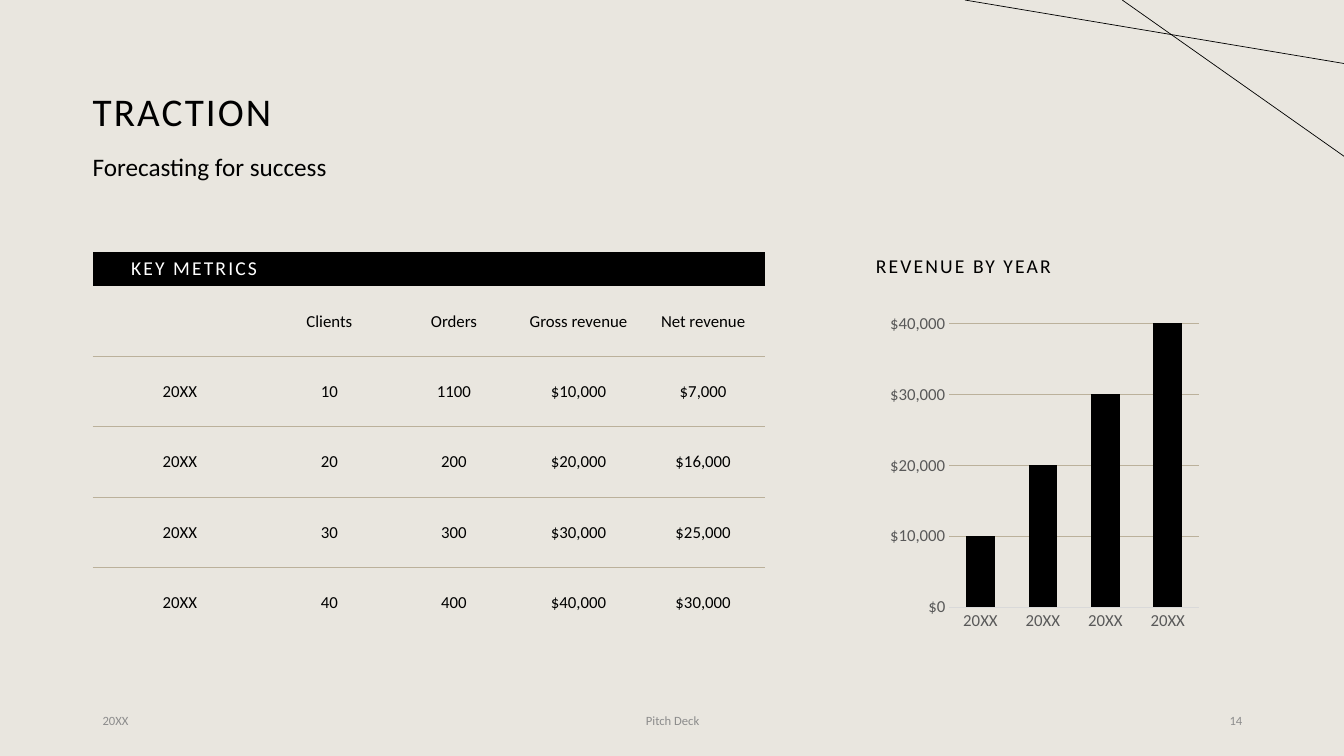
from dataclasses import dataclass

from lxml import etree
from pptx import Presentation
from pptx.chart.data import CategoryChartData
from pptx.dml.color import RGBColor
from pptx.enum.chart import XL_CHART_TYPE, XL_TICK_MARK
from pptx.enum.shapes import MSO_CONNECTOR
from pptx.enum.text import MSO_ANCHOR, PP_ALIGN
from pptx.oxml import parse_xml
from pptx.oxml.ns import nsdecls, qn
from pptx.util import Inches, Pt

LEFT, CENTER, RIGHT = PP_ALIGN.LEFT, PP_ALIGN.CENTER, PP_ALIGN.RIGHT
TOP, MIDDLE = MSO_ANCHOR.TOP, MSO_ANCHOR.MIDDLE
COLUMNS, STRAIGHT = XL_CHART_TYPE.COLUMN_CLUSTERED, MSO_CONNECTOR.STRAIGHT
NO_TICK = XL_TICK_MARK.NONE

PAPER = RGBColor(0xE9, 0xE6, 0xDF)
BLACK = RGBColor(0x00, 0x00, 0x00)
WHITE = RGBColor(0xFF, 0xFF, 0xFF)
TAUPE = RGBColor(0xBB, 0xB1, 0x9B)
GREY = RGBColor(0x8C, 0x8C, 0x8C)
LABEL = RGBColor(0x59, 0x59, 0x59)
PALE = RGBColor(0xD9, 0xD9, 0xD9)

FONT = "Calibri"
NO_STYLE = "{2D5ABB26-0587-4C30-8999-92F81FD0307C}"
WIDTH, HEIGHT = Inches(13.33), Inches(7.5)


def x(percent: float) -> int:
    """Share of the slide width."""
    return round(WIDTH * percent / 100)


def y(percent: float) -> int:
    """Share of the slide height."""
    return round(HEIGHT * percent / 100)


@dataclass
class Label:
    text: str
    left: float
    top: float
    width: float
    height: float
    size: float
    color: RGBColor = BLACK
    align: PP_ALIGN = LEFT
    anchor: MSO_ANCHOR = TOP
    spacing: float = 0
    inset: float = 0.1
    line: float = 1


@dataclass
class Stroke:
    start_x: float
    end_y: float


MARGIN, CHART_LEFT, CHART_WIDTH = 6.9, 64.44, 25.81
BODY_TOP, BAR_HEIGHT, ROW_HEIGHT = 33.33, 4.53, 9.31
YEAR_WIDTH, METRIC_WIDTH = 12.98, 9.27
FOOT_TOP, FOOT_HEIGHT = 92.67, 5.33

LABELS = [
    Label("TRACTION", MARGIN, 5.33, 86.27, 19.33, 28, anchor=MIDDLE,
          spacing=1.5, inset=0, line=0.9),
    Label("Forecasting for success", 6.15, 19.87, 55.5, 7.2, 18, line=0.9),
    Label("REVENUE BY YEAR", CHART_LEFT, BODY_TOP, CHART_WIDTH, BAR_HEIGHT, 14,
          spacing=1.5, line=0.9),
    Label("20XX", MARGIN, FOOT_TOP, 22.5, FOOT_HEIGHT, 9, GREY, LEFT, MIDDLE),
    Label("Pitch Deck", 33.16, FOOT_TOP, 33.76, FOOT_HEIGHT, 9, GREY, CENTER, MIDDLE),
    Label("14", 70.67, FOOT_TOP, 22.5, FOOT_HEIGHT, 9, GREY, RIGHT, MIDDLE),
]
STROKES = [Stroke(83.5, 20.67), Stroke(71.79, 8.4)]
METRICS = [
    ["KEY METRICS", "", "", "", ""],
    ["", "Clients", "Orders", "Gross revenue", "Net revenue"],
    ["20XX", "10", "1100", "$10,000", "$7,000"],
    ["20XX", "20", "200", "$20,000", "$16,000"],
    ["20XX", "30", "300", "$30,000", "$25,000"],
    ["20XX", "40", "400", "$40,000", "$30,000"],
]
YEARS = ["20XX"] * 4
REVENUE = [10000, 20000, 30000, 40000]


def write(tf, text: str, *, size: float, color: RGBColor = BLACK,
          align: PP_ALIGN = LEFT, spacing: float = 0, line: float = 1) -> None:
    p = tf.paragraphs[0]
    p.alignment, p.line_spacing = align, line
    if not text:
        etree.SubElement(p._p, qn("a:endParaRPr"), sz=str(int(size * 100)))
        return
    r = p.add_run()
    r.text = text
    style_font(r.font, size, color)
    if spacing:
        r._r.get_or_add_rPr().set("spc", str(int(spacing * 100)))


def style_font(font, size: float, color: RGBColor) -> None:
    font.name, font.size = FONT, Pt(size)
    font.color.rgb = color


def add_label(slide, label: Label) -> None:
    sp = slide.shapes.add_textbox(x(label.left), y(label.top),
                                  x(label.width), y(label.height))
    tf = sp.text_frame
    tf.word_wrap, tf.vertical_anchor = True, label.anchor
    tf.margin_left = Inches(label.inset)
    write(tf, label.text, size=label.size, color=label.color, align=label.align,
          spacing=label.spacing, line=label.line)


def add_rule(cell) -> None:
    cell._tc.get_or_add_tcPr().insert(0, parse_xml(
        f'<a:lnB {nsdecls("a")} w="{Pt(1)}"><a:solidFill>'
        f'<a:srgbClr val="{TAUPE}"/></a:solidFill></a:lnB>'))


def add_metrics(slide) -> None:
    widths = [YEAR_WIDTH] + [METRIC_WIDTH] * 4
    heights = [BAR_HEIGHT] + [ROW_HEIGHT] * 5
    table = slide.shapes.add_table(
        len(heights), len(widths), x(MARGIN), y(BODY_TOP),
        x(sum(widths)), y(sum(heights))).table
    table.first_row = table.horz_banding = False
    table._tbl.tblPr.find(qn("a:tableStyleId")).text = NO_STYLE
    for column, width in zip(table.columns, widths):
        column.width = x(width)
    for row, height in zip(table.rows, heights):
        row.height = y(height)
    for i, texts in enumerate(METRICS):
        for j, text in enumerate(texts):
            cell = table.cell(i, j)
            cell.vertical_anchor = MIDDLE
            if i == 0:
                cell.fill.solid()
                cell.fill.fore_color.rgb = BLACK
                write(cell.text_frame, text, size=14, color=WHITE,
                      align=RIGHT, spacing=1.5)
                continue
            cell.fill.background()
            write(cell.text_frame, text, size=12, align=CENTER)
            if i < len(METRICS) - 1:
                add_rule(cell)


def add_revenue(slide) -> None:
    data = CategoryChartData(number_format="[$$-409]#,##0")
    data.categories = YEARS
    data.add_series("Series 1", REVENUE)
    chart = slide.shapes.add_chart(COLUMNS, x(CHART_LEFT), y(40.53),
                                   x(CHART_WIDTH), y(45.2), data).chart
    chart.has_legend = chart.has_title = False
    style_font(chart.font, 10, BLACK)
    plot = chart.plots[0]
    plot.gap_width, plot.overlap, plot.vary_by_categories = 118, -3, False
    fill = plot.series[0].format.fill
    fill.solid()
    fill.fore_color.rgb = BLACK

    years, dollars = chart.category_axis, chart.value_axis
    for axis in (years, dollars):
        axis.major_tick_mark = axis.minor_tick_mark = NO_TICK
        style_font(axis.tick_labels.font, 12, LABEL)
    dollars.minimum_scale, dollars.maximum_scale, dollars.major_unit = 0, 40000, 10000
    dollars.format.line.fill.background()
    for line, color in ((years.format.line, PALE),
                        (dollars.major_gridlines.format.line, TAUPE)):
        line.color.rgb, line.width = color, Pt(0.75)

    # Fixed inner plot area
    area = chart._chartSpace.chart.plotArea
    for old in area.findall(qn("c:layout")):
        area.remove(old)
    places = {"x": 0.24, "y": 0.05, "w": 0.72, "h": 0.83}
    marks = "".join(f'<c:{k}Mode val="edge"/>' for k in "xy")
    marks += "".join(f'<c:{k} val="{v}"/>' for k, v in places.items())
    area.insert(0, parse_xml(
        f'<c:layout {nsdecls("c")}><c:manualLayout><c:layoutTarget val="inner"/>'
        f'{marks}</c:manualLayout></c:layout>'))


def add_stroke(slide, stroke: Stroke) -> None:
    line = slide.shapes.add_connector(STRAIGHT, x(stroke.start_x), 0,
                                      WIDTH, y(stroke.end_y))
    line.line.color.rgb, line.line.width = BLACK, Pt(0.5)
    etree.SubElement(line._element.spPr, qn("a:effectLst"))


def main() -> None:
    prs = Presentation()
    prs.slide_width, prs.slide_height = WIDTH, HEIGHT
    slide = prs.slides.add_slide(prs.slide_layouts[6])
    slide.background.fill.solid()
    slide.background.fill.fore_color.rgb = PAPER
    for label in LABELS:
        add_label(slide, label)
    add_metrics(slide)
    add_revenue(slide)
    for stroke in STROKES:
        add_stroke(slide, stroke)
    prs.save("out.pptx")


if __name__ == "__main__":
    main()
